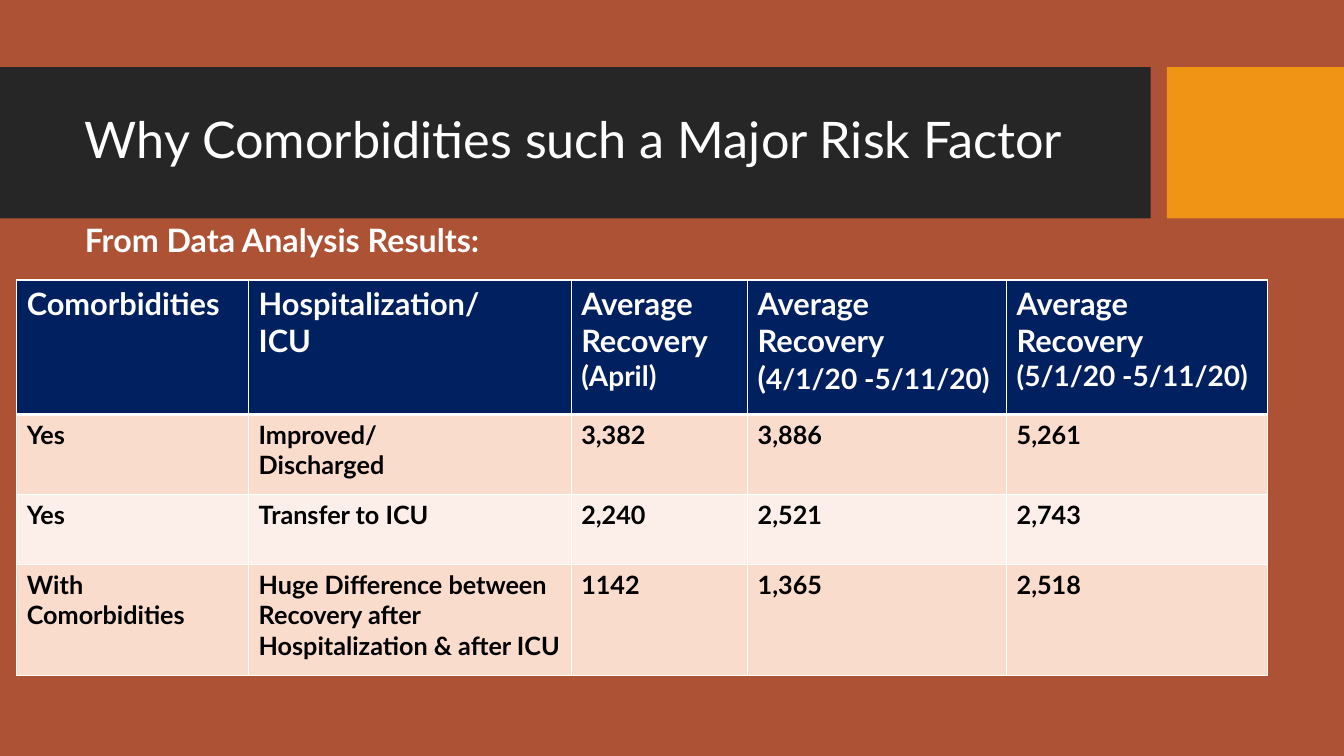
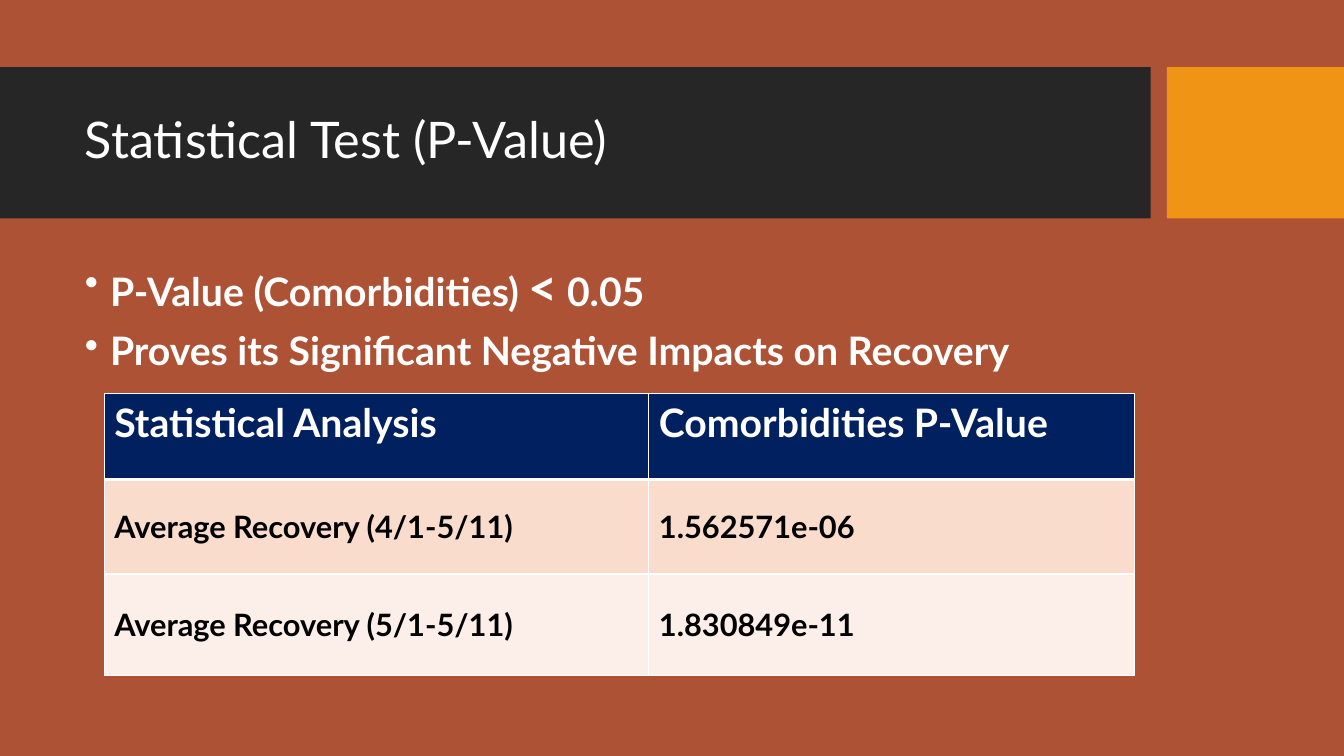
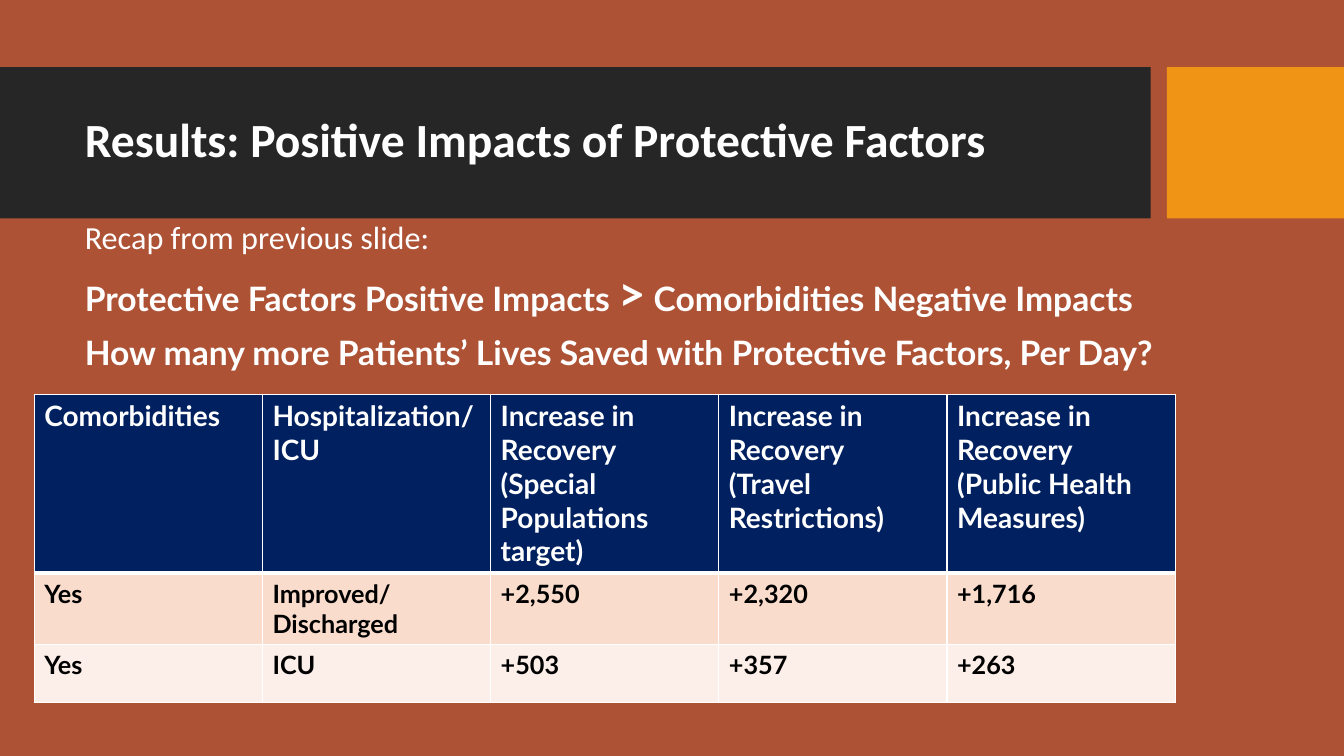
from lxml import etree
from pptx import Presentation
from pptx.dml.color import RGBColor as RGB
from pptx.enum.shapes import MSO_SHAPE as SHAPE
from pptx.enum.text import MSO_ANCHOR as ANCHOR, MSO_AUTO_SIZE as FIT, PP_ALIGN as ALIGN
from pptx.oxml.ns import qn
from pptx.util import Pt

HUES = {"back": "AE5236", "band": "262626", "block": "F09415", "head": "002060",
        "odd": "F9DCCC", "even": "FCEEE8", "white": "FFFFFF", "black": "000000"}
COLORS = {name: RGB.from_string(code) for name, code in HUES.items()}


def write(frame, paras, size, hue="white", face="Lato", bold=True):
    """Fill a frame; a para is a string or a list of strings and (text, size) runs."""
    for i, runs in enumerate(paras):
        para = frame.paragraphs[0] if i == 0 else frame.add_paragraph()
        font = para.font
        font.name, font.size, font.bold = face, Pt(size), bold
        font.color.rgb = COLORS[hue]
        for part in [runs] if isinstance(runs, str) else runs:
            run = para.add_run()
            if isinstance(part, str):
                run.text = part
            else:
                run.text = part[0]
                run.font.size = Pt(part[1])


def grid(slide, left, top, wides, highs, rows, sizes, anchor=ANCHOR.TOP):
    """Add a table with a dark head, striped rows and white borders."""
    table = slide.shapes.add_table(len(highs), len(wides), Pt(left), Pt(top),
                                   Pt(sum(wides)), Pt(sum(highs))).table
    for col, wide in zip(table.columns, wides):
        col.width = Pt(wide)
    for r, (high, row) in enumerate(zip(highs, rows)):
        table.rows[r].height = Pt(high)
        for c, item in enumerate(row):
            cell = table.cell(r, c)
            cell.fill.solid()
            cell.fill.fore_color.rgb = COLORS["head" if r == 0 else "odd" if r % 2 else "even"]
            cell.vertical_anchor = anchor if r else ANCHOR.TOP
            write(cell.text_frame, [item] if isinstance(item, str) else item,
                  sizes[min(r, 1)], "black" if r else "white")
            props = cell._tc.get_or_add_tcPr()
            for i, side in enumerate("LRTB"):
                thick = 3 if (side, r) in (("B", 0), ("T", 1)) else 1
                line = etree.Element(qn(f"a:ln{side}"), w=str(Pt(thick)))
                solid = etree.SubElement(line, qn("a:solidFill"))
                etree.SubElement(solid, qn("a:srgbClr"), val=HUES["white"])
                props.insert(i, line)


deck = Presentation()
deck.slide_width, deck.slide_height = Pt(960), Pt(540)
fill = deck.slide_master.background.fill
fill.solid()
fill.fore_color.rgb = COLORS["back"]

# Title, its size, face and weight; body top, width, size and paragraphs
pages = [
    ("Why Comorbidities such a Major Risk Factor", 36, "Lato", False,
     157, 757, 23, ["From Data Analysis Results:"]),
    ("Statistical Test (P-Value)", 36, "Lato", False,
     184.5, 757, 28, [["P-Value (Comorbidities) ", ("<", 36), " 0.05"],
                      "Proves its Significant Negative Impacts on Recovery"]),
    ("Results: Positive Impacts of Protective Factors", 34, "Calibri", True,
     155, 841, 24, ["Recap from previous slide:",
                    ["Protective Factors Positive Impacts ", (">", 34),
                     " Comorbidities Negative Impacts"],
                    "How many more Patients’ Lives Saved with Protective Factors, Per Day?"]),
]
slides, bodies = [], []
for name, size, face, bold, top, wide, body_size, paras in pages:
    slide = deck.slides.add_slide(deck.slide_layouts[5])
    title = slide.shapes.title
    for left, span, hue in ((0, 822, "band"), (833.5, 126.5, "block")):
        band = slide.shapes.add_shape(SHAPE.RECTANGLE, Pt(left), Pt(48), Pt(span), Pt(108))
        band.shadow.inherit = False
        band.fill.solid()
        band.fill.fore_color.rgb = COLORS[hue]
        band.line.fill.background()
        title.element.addprevious(band.element)

    title.left, title.top, title.width, title.height = Pt(53.5), Pt(59), Pt(757), Pt(85)
    frame = title.text_frame
    frame.auto_size, frame.vertical_anchor = FIT.NONE, ANCHOR.MIDDLE
    write(frame, [name], size, face=face, bold=bold)
    frame.paragraphs[0].alignment = ALIGN.LEFT
    frame.paragraphs[0].line_spacing = 0.9

    body = slide.shapes.add_textbox(Pt(53.5), Pt(top), Pt(wide), Pt(468 - top)).text_frame
    body.word_wrap = True
    write(body, paras, body_size)
    for para in body.paragraphs:
        para.line_spacing, para.space_before = 0.9, Pt(10)
    slides.append(slide)
    bodies.append(body)

risk, test, gain = slides

# Recovery with comorbidities
grid(risk, 12, 200, [165.6, 230.4, 126, 185, 186.5], [96, 57, 50.5, 79], [
    ["Comorbidities", ["Hospitalization/", "ICU"],
     [["Average Recovery ", ("(April)", 20)]],
     ["Average Recovery", ["(", ("4/1/20 -5/11/20)", 20)]],
     ["Average Recovery", [("(5/1/20 -5/11/20)", 20)]]],
    ["Yes", ["Improved/", "Discharged"], "3,382", "3,886", "5,261"],
    ["Yes", "Transfer to ICU", "2,240", "2,521", "2,743"],
    ["With Comorbidities",
     "Huge Difference between Recovery after Hospitalization & after ICU",
     "1142", "1,365", "2,518"],
], (22, 18))

# P-values
for para in bodies[1].paragraphs:
    props = para._p.get_or_add_pPr()
    props.set("marL", str(Pt(18)))
    props.set("indent", str(-Pt(18)))
    bullet = etree.Element(qn("a:buChar"), char="•")
    props.find(qn("a:defRPr")).addprevious(bullet)
grid(test, 74.5, 281, [389, 347], [61.5, 67.5, 72.5], [
    ["Statistical Analysis", "Comorbidities P-Value"],
    ["Average Recovery (4/1-5/11)", "1.562571e-06"],
    ["Average Recovery (5/1-5/11)", "1.830849e-11"],
], (28, 22), ANCHOR.MIDDLE)

# Gains from protective factors
recap = bodies[2].paragraphs[0].font
recap.name, recap.size, recap.bold = "Calibri", Pt(23), False
grid(gain, 24.5, 281.5, [163] * 5, [128, 51, 41.5], [
    ["Comorbidities", ["Hospitalization/", "ICU"],
     ["Increase in Recovery", "(Special Populations target)"],
     ["Increase in Recovery", "(Travel Restrictions)"],
     ["Increase in Recovery", "(Public Health Measures)"]],
    ["Yes", ["Improved/", "Discharged"], "+2,550", "+2,320", "+1,716"],
    ["Yes", "ICU", "+503", "+357", "+263"],
], (20, 18))

deck.save("out.pptx")
